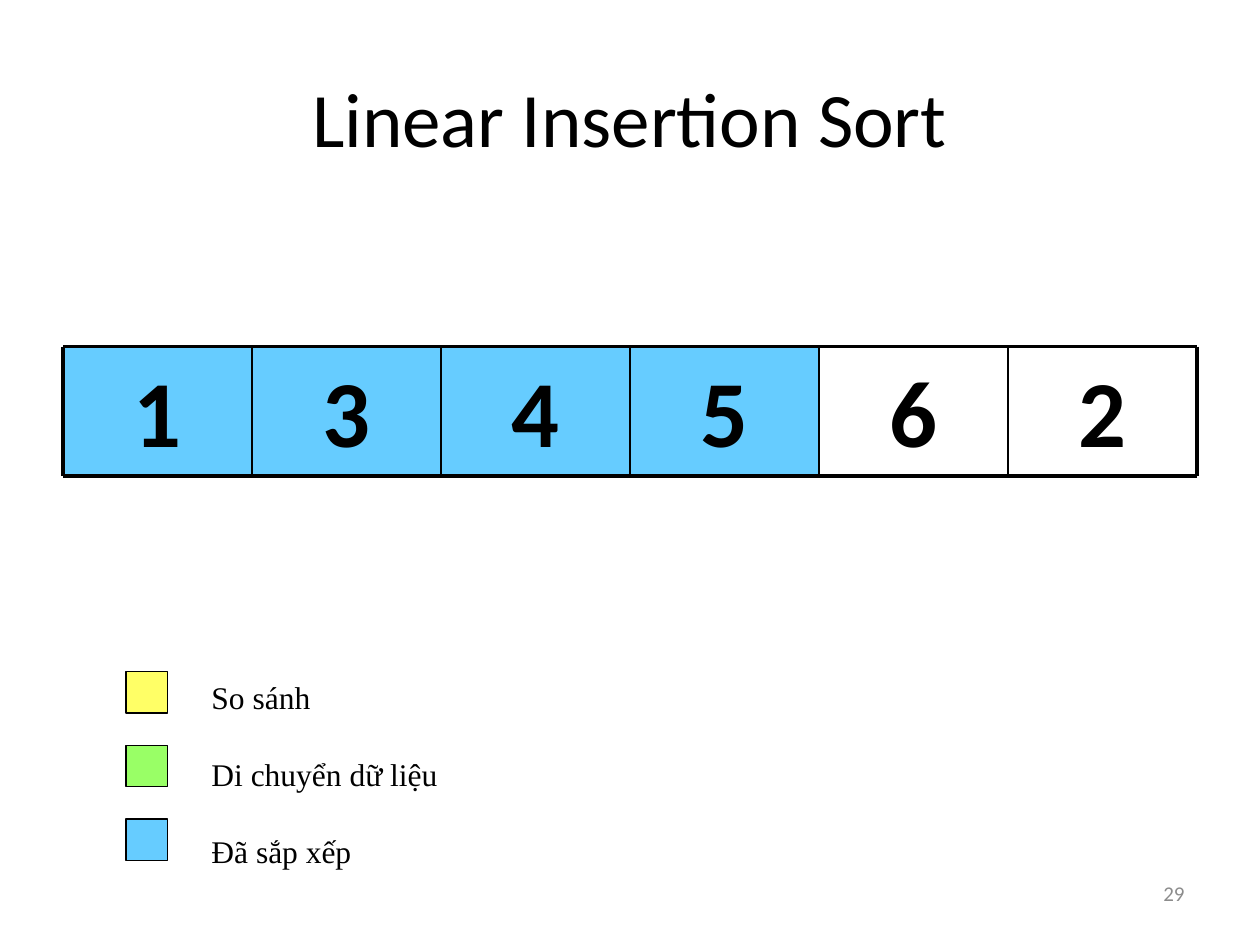
from dataclasses import dataclass
from typing import Optional

from lxml.etree import SubElement
from pptx import Presentation
from pptx.dml.color import RGBColor
from pptx.enum.shapes import MSO_CONNECTOR, MSO_SHAPE
from pptx.enum.text import MSO_ANCHOR, PP_ALIGN
from pptx.oxml.ns import qn
from pptx.util import Inches, Pt

BLACK = RGBColor(0x00, 0x00, 0x00)
GRAY = RGBColor(0x8C, 0x8C, 0x8C)
YELLOW = RGBColor(0xFF, 0xFF, 0x66)
GREEN = RGBColor(0x99, 0xFF, 0x66)
BLUE = RGBColor(0x66, 0xCC, 0xFF)

ARRAY_LEFT, ARRAY_TOP = 0.5, 2.75
CELL_WIDTH, CELL_HEIGHT = 1.5, 1.03
LEGEND_LEFT, LEGEND_TOP = 1, 5.33
SWATCH_SIZE, SWATCH_PITCH = 0.33, 0.585

TITLE_FONT = {"name": "Calibri", "size": Pt(44)}
CELL_FONT = {"name": "Calibri", "size": Pt(54), "bold": True}
LEGEND_FONT = {"name": "Times New Roman", "size": Pt(18)}
NUMBER_FONT = {"name": "Calibri", "size": Pt(12)}


@dataclass
class Cell:
    value: str
    fill: Optional[RGBColor] = None


@dataclass
class LegendEntry:
    label: str
    color: RGBColor


CELLS = [Cell("1", BLUE), Cell("3", BLUE), Cell("4", BLUE), Cell("5", BLUE), Cell("6"), Cell("2")]
LEGEND = [
    LegendEntry("So sánh", YELLOW),
    LegendEntry("Di chuyển dữ liệu", GREEN),
    LegendEntry("Đã sắp xếp", BLUE),
]


def write(paragraph, text: str, font_format: dict, color: RGBColor = BLACK,
          paragraph_format: Optional[dict] = None) -> None:
    run = paragraph.add_run()
    run.text = text
    run.font.color.rgb = color
    for target, values in ((run.font, font_format), (paragraph, paragraph_format or {})):
        for name, value in values.items():
            setattr(target, name, value)


def add_rectangle(slide, left: float, top: float, width: float, height: float, color: RGBColor):
    shape = slide.shapes.add_shape(
        MSO_SHAPE.RECTANGLE, Inches(left), Inches(top), Inches(width), Inches(height))
    shape.shadow.inherit = False
    shape.fill.solid()
    shape.fill.fore_color.rgb = color
    shape.line.fill.background()
    return shape


def add_text_box(slide, left: float, top: float, width: float, height: float):
    return slide.shapes.add_textbox(Inches(left), Inches(top), Inches(width), Inches(height))


def add_cell(slide, cell: Cell, left: float) -> None:
    bounds = (left, ARRAY_TOP, CELL_WIDTH, CELL_HEIGHT)
    if cell.fill is None:
        shape = add_text_box(slide, *bounds)
    else:
        shape = add_rectangle(slide, *bounds, cell.fill)
    frame = shape.text_frame
    frame.word_wrap = True
    frame.vertical_anchor = MSO_ANCHOR.TOP
    write(frame.paragraphs[0], cell.value, CELL_FONT,
          paragraph_format={"alignment": PP_ALIGN.CENTER, "space_before": Pt(13.5)})


def add_line(slide, start: tuple[float, float], end: tuple[float, float], width: float) -> None:
    connector = slide.shapes.add_connector(
        MSO_CONNECTOR.STRAIGHT, *(Inches(value) for value in start + end))
    connector.line.color.rgb = BLACK
    connector.line.width = Pt(width)
    SubElement(connector._element.spPr, qn("a:effectLst"))


def add_array(slide, cells: list[Cell]) -> None:
    edges = [ARRAY_LEFT + index * CELL_WIDTH for index in range(len(cells) + 1)]
    bottom = ARRAY_TOP + CELL_HEIGHT
    for cell, left in zip(cells, edges):
        add_cell(slide, cell, left)
    for y in (ARRAY_TOP, bottom):
        add_line(slide, (edges[0], y), (edges[-1], y), 2.25)
    for x in edges:
        add_line(slide, (x, ARRAY_TOP), (x, bottom), 2.25 if x in (edges[0], edges[-1]) else 1)


def add_legend(slide, entries: list[LegendEntry]) -> None:
    frame = add_text_box(slide, 1.58, LEGEND_TOP, 2.01, 1.62).text_frame
    frame.word_wrap = False
    for index, entry in enumerate(entries):
        swatch = add_rectangle(slide, LEGEND_LEFT, LEGEND_TOP + index * SWATCH_PITCH,
                               SWATCH_SIZE, SWATCH_SIZE, entry.color)
        swatch.line.color.rgb = BLACK
        swatch.line.width = Pt(0.75)
        paragraph = frame.add_paragraph() if index else frame.paragraphs[0]
        write(paragraph, entry.label, LEGEND_FONT, paragraph_format={"space_after": Pt(22.5)})


def add_slide_number(slide, number: str) -> None:
    frame = add_text_box(slide, 7.17, 6.83, 2.33, 0.52).text_frame
    frame.word_wrap = True
    frame.vertical_anchor = MSO_ANCHOR.MIDDLE
    write(frame.paragraphs[0], number, NUMBER_FONT, GRAY, {"alignment": PP_ALIGN.RIGHT})


def main() -> None:
    presentation = Presentation()
    presentation.slide_width, presentation.slide_height = Inches(10), Inches(7.5)
    slide = presentation.slides.add_slide(presentation.slide_layouts[5])
    title = slide.shapes.title
    title.left, title.top, title.width, title.height = (
        Inches(value) for value in (0.5, 0.3, 9, 1.25))
    title.text_frame.vertical_anchor = MSO_ANCHOR.MIDDLE
    write(title.text_frame.paragraphs[0], "Linear Insertion Sort", TITLE_FONT,
          paragraph_format={"alignment": PP_ALIGN.CENTER})
    add_array(slide, CELLS)
    add_legend(slide, LEGEND)
    add_slide_number(slide, "29")
    presentation.save("out.pptx")


if __name__ == "__main__":
    main()
